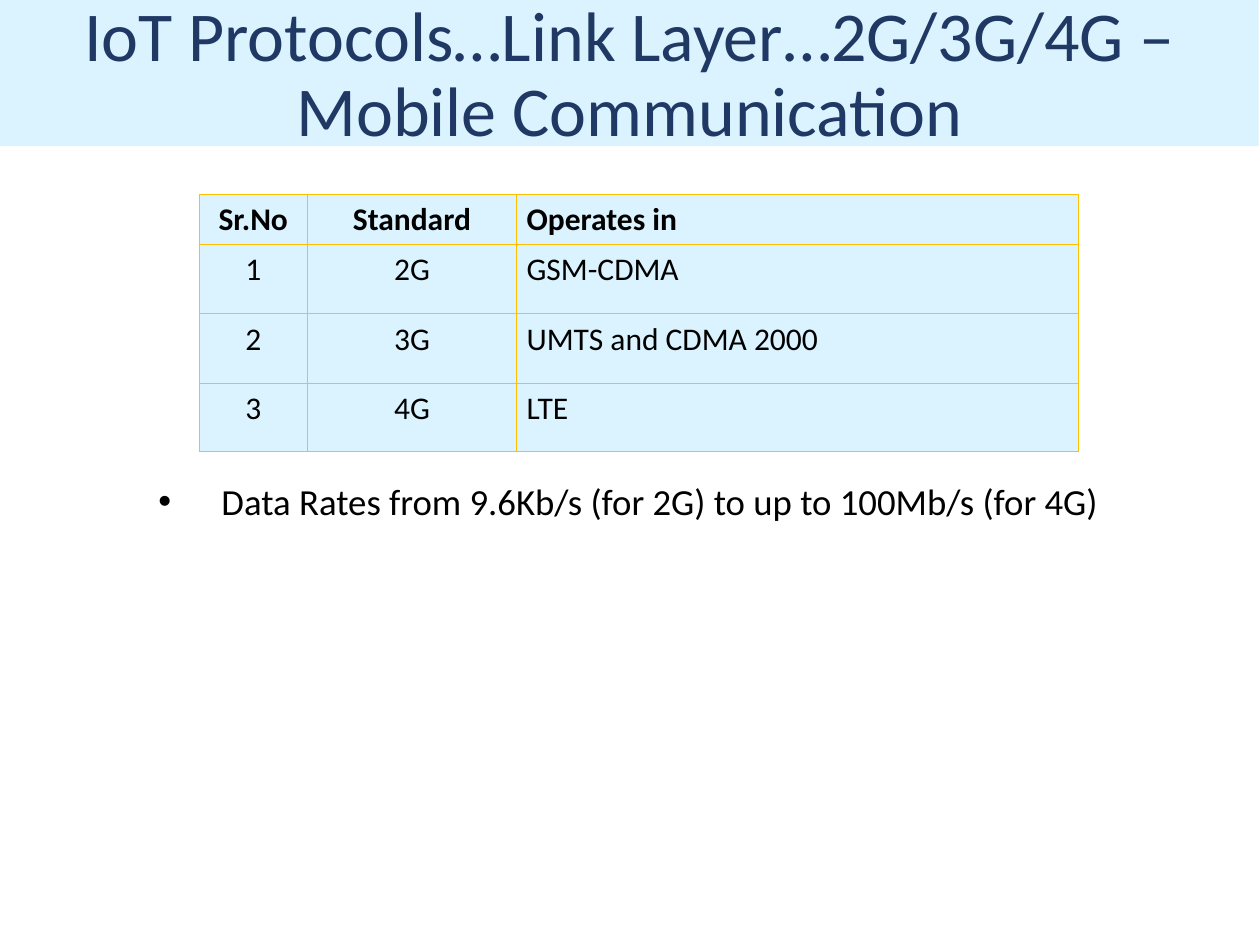
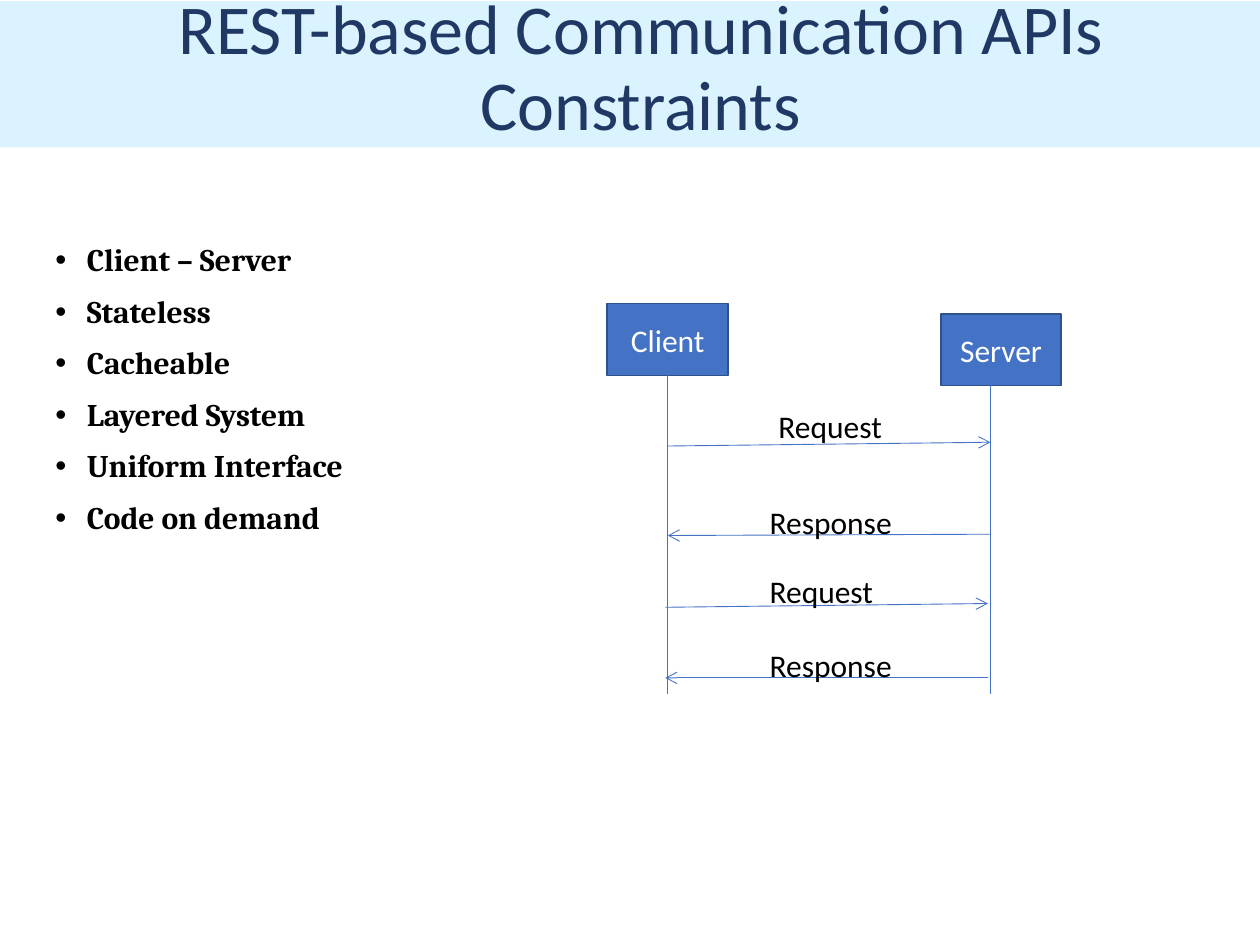
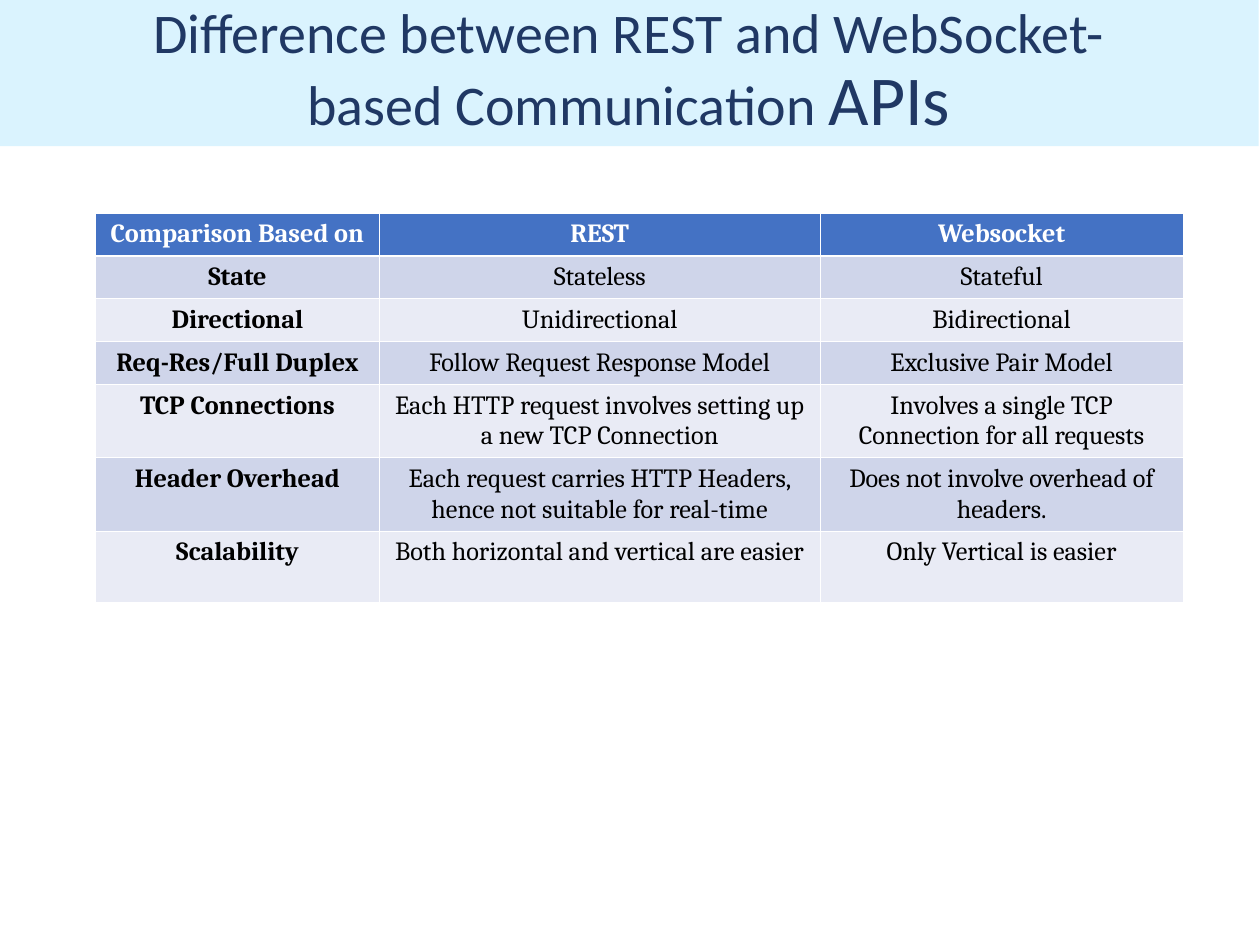
from dataclasses import dataclass
from typing import Any

from lxml.etree import SubElement
from pptx import Presentation
from pptx.dml.color import RGBColor
from pptx.enum.shapes import MSO_CONNECTOR, MSO_SHAPE
from pptx.enum.text import MSO_ANCHOR, PP_ALIGN
from pptx.oxml.ns import qn
from pptx.util import Inches, Pt

BAND, NAVY, BLUE, EDGE = "DAF3FE", "203864", "4472C4", "2F528F"
BLACK, WHITE, GOLD = "000000", "FFFFFF", "FFC000"
STRIPES = ("CFD5EA", "E9EBF5")
SANS, SERIF = "Calibri", "Cambria"
TITLE = {"name": SANS, "size": Pt(40), "color": NAVY}
BODY = {"name": SANS, "size": Pt(18), "color": BLACK}

Box = tuple[float, float, float, float]


@dataclass
class TableStyle:
    """Look of one table."""
    font: dict[str, Any]
    head_color: str
    head_fill: str
    fills: tuple[str, str]
    border: str
    head_rule: float
    left_cols: tuple[int, ...] = ()
    bold_cols: tuple[int, ...] = ()


@dataclass
class Message:
    """Arrow between two lifelines with its label."""
    text: str
    start: tuple[float, float]
    end: tuple[float, float]
    label: Box


def rgb(color: str) -> RGBColor:
    """Return the colour for a hex string."""
    return RGBColor.from_string(color)


def set_font(font: Any, values: dict[str, Any]) -> None:
    """Apply format values to a font."""
    for key, value in values.items():
        if key == "color":
            font.color.rgb = rgb(value)
        else:
            setattr(font, key, value)


def add_run(p: Any, text: str, values: dict[str, Any]) -> None:
    """Append a formatted run."""
    r = p.add_run()
    r.text = text
    set_font(r.font, values)


def add_bullet(p: Any, indent: float) -> None:
    """Give a paragraph a round bullet with a hanging indent."""
    pPr = p._p.get_or_add_pPr()
    pPr.set("marL", str(Inches(indent)))
    pPr.set("indent", str(-Inches(indent)))
    SubElement(pPr, qn("a:buFont"), typeface="Arial")
    SubElement(pPr, qn("a:buChar"), char="•")


def add_text(s: Any, box: Box) -> Any:
    """Add an empty wrapping text box and return its frame."""
    tf = s.shapes.add_textbox(*map(Inches, box)).text_frame
    tf.word_wrap = True
    return tf


def add_rect(s: Any, box: Box, fill: str, edge: str = "") -> Any:
    """Add a flat rectangle."""
    sp = s.shapes.add_shape(MSO_SHAPE.RECTANGLE, *map(Inches, box))
    sp.shadow.inherit = False
    sp.fill.solid()
    sp.fill.fore_color.rgb = rgb(fill)
    if edge:
        sp.line.color.rgb = rgb(edge)
        sp.line.width = Pt(1)
    else:
        sp.line.fill.background()
    return sp


def add_line(s: Any, start: tuple[float, float], end: tuple[float, float], arrow: bool = False) -> None:
    """Add a thin blue line, with an open arrowhead if asked."""
    ln = s.shapes.add_connector(MSO_CONNECTOR.STRAIGHT, *map(Inches, start + end))
    ln.line.color.rgb = rgb(BLUE)
    ln.line.width = Pt(0.5)
    if arrow:
        SubElement(ln.line._get_or_add_ln(), qn("a:tailEnd"), type="arrow")
    SubElement(ln._element.spPr, qn("a:effectLst"))


def add_title(s: Any, band: Box, box: Box, parts: list[tuple[str, int]]) -> None:
    """Add the title band and its centred text."""
    add_rect(s, band, BAND)
    tf = add_text(s, box)
    tf.vertical_anchor = MSO_ANCHOR.MIDDLE
    p = tf.paragraphs[0]
    p.alignment, p.line_spacing = PP_ALIGN.CENTER, 0.9
    for text, size in parts:
        add_run(p, text, TITLE | {"size": Pt(size)})


def add_borders(cell: Any, color: str, widths: dict[str, float]) -> None:
    """Draw the four edges of a cell."""
    tcPr = cell._tc.get_or_add_tcPr()
    for side, width in widths.items():
        ln = SubElement(tcPr, qn(f"a:ln{side}"), w=str(Pt(width)))
        SubElement(SubElement(ln, qn("a:solidFill")), qn("a:srgbClr"), val=color)


def add_table(s: Any, box: Box, cols: list[float], heights: list[float],
              rows: list[tuple[str, ...]], style: TableStyle) -> None:
    """Add a table with a header row."""
    tbl = s.shapes.add_table(len(rows), len(cols), *map(Inches, box)).table
    tbl.first_row = tbl.horz_banding = False
    for col, width in zip(tbl.columns, cols):
        col.width = Inches(width)
    for i, (height, row) in enumerate(zip(heights, rows)):
        tbl.rows[i].height = Inches(height)
        head = i == 0
        for j, text in enumerate(row):
            cell = tbl.cell(i, j)
            cell.margin_left = cell.margin_right = Inches(0.08)
            add_borders(cell, style.border, {
                "L": 0.45, "R": 0.45,
                "T": style.head_rule if i == 1 else 0.45,
                "B": style.head_rule if head else 0.45})
            cell.fill.solid()
            cell.fill.fore_color.rgb = rgb(style.head_fill if head else style.fills[(i - 1) % 2])
            p = cell.text_frame.paragraphs[0]
            p.alignment = PP_ALIGN.LEFT if j in style.left_cols else PP_ALIGN.CENTER
            add_run(p, text, style.font | {
                "bold": head or j in style.bold_cols,
                "color": style.head_color if head else BLACK})


def mobile_slide(s: Any) -> None:
    """Build the mobile communication slide."""
    add_title(s, (-0.01, 0, 10, 1.16), (-0.01, 0.04, 10.01, 1.13),
              [("IoT Protocols…Link Layer…2G/3G/4G –Mobile Communication", 40)])
    rows = [("Sr.No", "Standard", "Operates in"),
            ("1", "2G", "GSM-CDMA"),
            ("2", "3G", "UMTS and CDMA 2000"),
            ("3", "4G", "LTE")]
    add_table(s, (1.58, 1.54, 6.98, 2.01), [0.86, 1.66, 4.46], [0.37, 0.55, 0.55, 0.54], rows,
              TableStyle(BODY, BLACK, BAND, (BAND, BAND), GOLD, 0.96, left_cols=(2,)))
    p = add_text(s, (1.16, 3.75, 7.83, 0.45)).paragraphs[0]
    add_bullet(p, 0.5)
    add_run(p, "Data Rates from 9.6Kb/s (for 2G) to up to 100Mb/s (for 4G)", BODY | {"size": Pt(21)})


def constraints_slide(s: Any) -> None:
    """Build the REST constraints slide."""
    add_title(s, (0, 0.01, 10, 1.16), (0.77, 0.11, 8.63, 0.89),
              [("REST-based Communication APIs Constraints", 40)])
    tf = add_text(s, (0.34, 1.49, 3.55, 3.59))
    tf.margin_top = Inches(0.45)
    constraints = ("Client – Server", "Stateless", "Cacheable",
                   "Layered System", "Uniform Interface", "Code on demand")
    for i, text in enumerate(constraints):
        p = tf.add_paragraph() if i else tf.paragraphs[0]
        p.alignment, p.line_spacing = PP_ALIGN.JUSTIFY, 0.9
        if i:
            p.space_before = Pt(10)
        add_bullet(p, 0.25)
        add_run(p, text, BODY | {"name": SERIF, "bold": True})

    for name, box in (("Client", (4.82, 2.41, 0.96, 0.57)), ("Server", (7.47, 2.49, 0.95, 0.57))):
        tf = add_rect(s, box, BLUE, EDGE).text_frame
        tf.vertical_anchor = MSO_ANCHOR.MIDDLE
        p = tf.paragraphs[0]
        p.alignment = PP_ALIGN.CENTER
        add_run(p, name, BODY | {"color": WHITE})
    for x in (5.3, 7.86):
        add_line(s, (x, 2.98), (x, 5.51))

    messages = (
        Message("Request", (5.3, 3.54), (7.86, 3.51), (6.08, 3.18, 1.1, 0.4)),
        Message("Response", (7.86, 4.24), (5.3, 4.25), (6.01, 3.94, 1.3, 0.4)),
        Message("Request", (5.28, 4.82), (7.84, 4.79), (6.01, 4.49, 1.1, 0.4)),
        Message("Response", (7.84, 5.38), (5.28, 5.38), (6.01, 5.08, 1.3, 0.4)))
    for m in messages:
        add_line(s, m.start, m.end, arrow=True)
        add_run(add_text(s, m.label).paragraphs[0], m.text, BODY)


def comparison_slide(s: Any) -> None:
    """Build the REST and WebSocket comparison slide."""
    rows = [
        ("Comparison Based on", "REST", "Websocket"),
        ("State", "Stateless", "Stateful"),
        ("Directional", "Unidirectional", "Bidirectional"),
        ("Req-Res/Full Duplex", "Follow Request Response Model", "Exclusive Pair Model"),
        ("TCP Connections", "Each HTTP request involves setting up a new TCP Connection",
         "Involves a single TCP Connection for all requests"),
        ("Header Overhead", "Each request carries HTTP Headers, hence not suitable for real-time",
         "Does not involve overhead of headers."),
        ("Scalability", "Both horizontal and vertical are easier", "Only Vertical is easier")]
    add_table(s, (0.76, 1.69, 8.63, 3.02), [2.25, 3.5, 2.88], [0.33] * 4 + [0.58, 0.58, 0.57], rows,
              TableStyle({"name": SERIF, "size": Pt(15)}, WHITE, BLUE, STRIPES, WHITE, 1.47,
                         bold_cols=(0,)))
    add_title(s, (-0.01, 0, 10, 1.16), (0.68, 0.06, 8.62, 1.04),
              [("Difference between REST and WebSocket-based Communication ", 32), ("APIs", 40)])


def main() -> None:
    """Build the deck and save it."""
    prs = Presentation()
    prs.slide_width, prs.slide_height = Inches(10), Inches(7.5)
    for build in (mobile_slide, constraints_slide, comparison_slide):
        build(prs.slides.add_slide(prs.slide_layouts[6]))
    prs.save("out.pptx")


if __name__ == "__main__":
    main()
